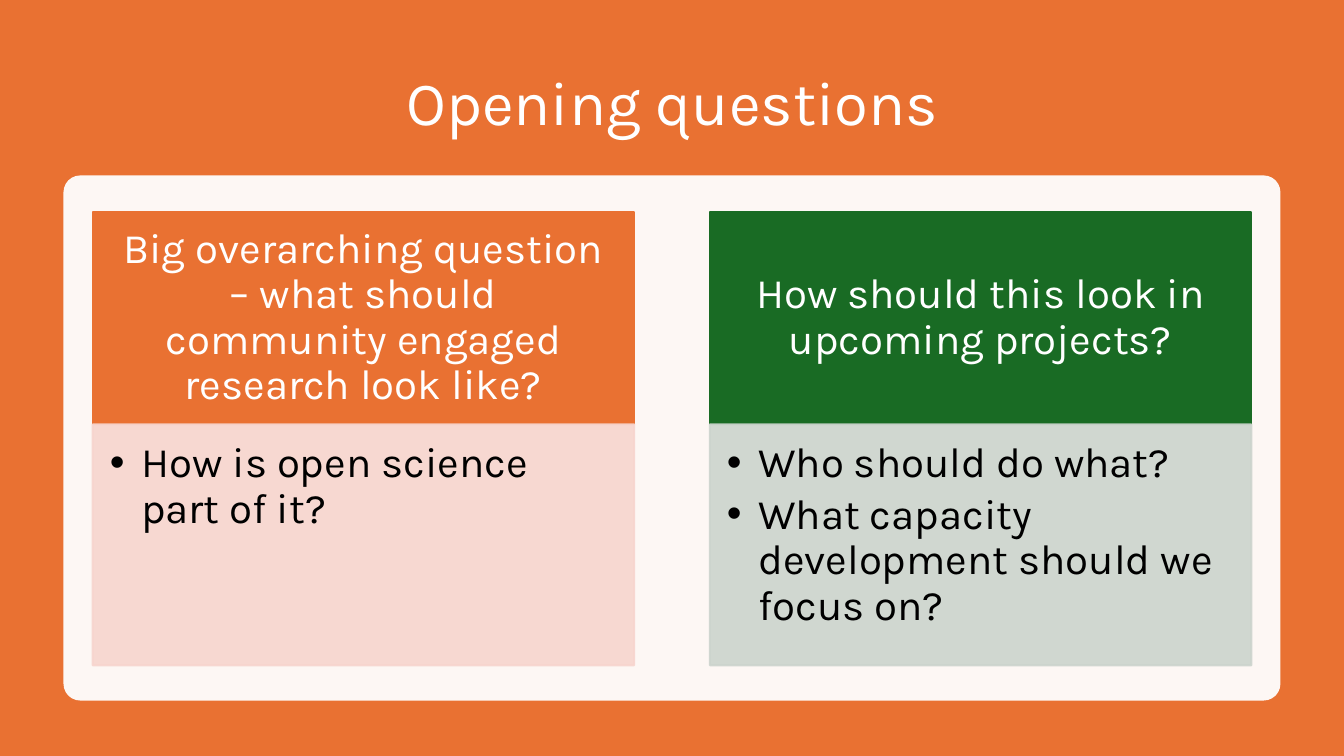
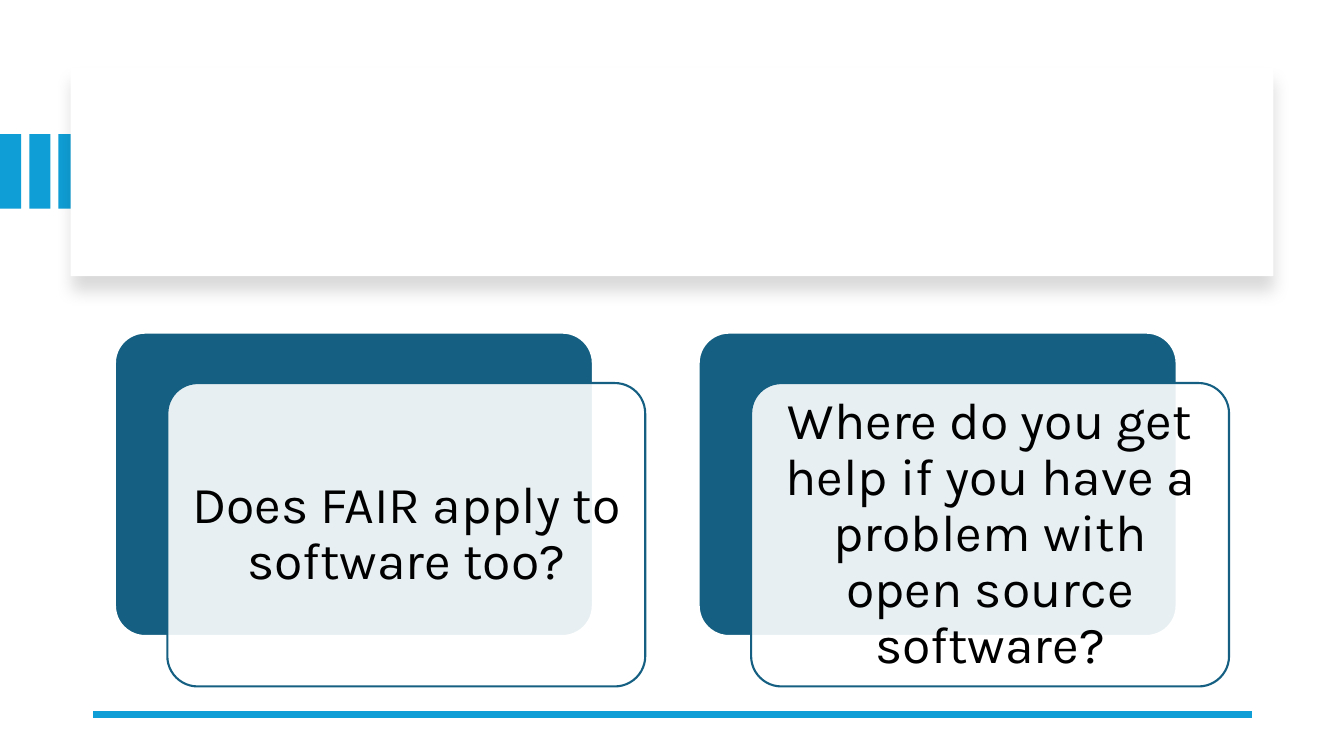
from dataclasses import dataclass

from lxml import etree
from pptx import Presentation
from pptx.dml.color import RGBColor
from pptx.enum.shapes import MSO_CONNECTOR, MSO_SHAPE
from pptx.enum.text import MSO_ANCHOR, MSO_AUTO_SIZE, PP_ALIGN
from pptx.oxml.ns import qn
from pptx.util import Inches, Pt

RECT, ROUND = MSO_SHAPE.RECTANGLE, MSO_SHAPE.ROUNDED_RECTANGLE
STRAIGHT = MSO_CONNECTOR.STRAIGHT
TOP, MIDDLE = MSO_ANCHOR.TOP, MSO_ANCHOR.MIDDLE
LEFT, CENTER = PP_ALIGN.LEFT, PP_ALIGN.CENTER
NO_FIT = MSO_AUTO_SIZE.NONE
COMPARISON, BLANK = 4, 6


@dataclass(frozen=True)
class Theme:
    font: str = "Karla"
    white: str = "FFFFFF"
    black: str = "000000"
    orange: str = "E97132"
    orange_tint: str = "F7D5CE"
    green: str = "196B24"
    green_tint: str = "CCD4CD"
    navy: str = "156082"
    blue: str = "0F9ED5"
    title: int = 44
    column: int = 30
    card: int = 37
    outline: float = 1.5


@dataclass(frozen=True)
class Box:
    x: float
    y: float
    w: float
    h: float

    def emu(self):
        return [Inches(v) for v in (self.x, self.y, self.w, self.h)]


@dataclass(frozen=True)
class Column:
    heading: str
    items: tuple[str, ...]
    color: str
    tint: str


T = Theme()

COLUMNS = (
    Column("Big overarching question – what should community engaged research look like?",
           ("How is open science part of it?",), T.orange, T.orange_tint),
    Column("How should this look in upcoming projects?",
           ("Who should do what?", "What capacity development should we focus on?"),
           T.green, T.green_tint),
)
CARDS = (
    "Does FAIR apply to software too?",
    "Where do you get help if you have a problem with open source software?",
)


def set_alpha(fill_parent, alpha: int) -> None:
    for clr in fill_parent.findall(f"{qn('a:solidFill')}/{qn('a:srgbClr')}"):
        etree.SubElement(clr, qn("a:alpha"), val=str(alpha * 1000))


def paint(sp, fill: str, line: str | None = None, alpha: int = 100, line_alpha: int = 100) -> None:
    sp.shadow.inherit = False
    sp.fill.solid()
    sp.fill.fore_color.rgb = RGBColor.from_string(fill)
    if line:
        sp.line.color.rgb = RGBColor.from_string(line)
        sp.line.width = Pt(T.outline)
    else:
        sp.line.fill.background()
    if alpha < 100:
        set_alpha(sp._element.spPr, alpha)
    if line_alpha < 100:
        set_alpha(sp.line._ln, line_alpha)


def add_box(s, kind, box: Box, fill: str, line: str | None = None,
            alpha: int = 100, radius: float = 0):
    sp = s.shapes.add_shape(kind, *box.emu())
    if radius:
        sp.adjustments[0] = radius
    paint(sp, fill, line, alpha)
    return sp


def place(sp, box: Box) -> None:
    sp.left, sp.top, sp.width, sp.height = box.emu()


def write(sp, texts: tuple[str, ...], size: int, color: str, align=CENTER, anchor=MIDDLE,
          insets: tuple[float, ...] = (0.1, 0.05, 0.1, 0.05), after: float = 0):
    tf = sp.text_frame
    tf.word_wrap = True
    tf.auto_size = NO_FIT
    tf.vertical_anchor = anchor
    tf.margin_left, tf.margin_top, tf.margin_right, tf.margin_bottom = map(Inches, insets)
    tf.text = "\n".join(texts)
    for p in tf.paragraphs:
        p.alignment = align
        p.line_spacing = 0.9
        p.space_before = Pt(0)
        p.space_after = Pt(after)
        p.font.name = T.font
        p.font.size = Pt(size)
        p.font.bold = False
        p.font.color.rgb = RGBColor.from_string(color)
    return tf


def add_bullets(tf, indent: float) -> None:
    for p in tf.paragraphs:
        pPr = p._p.get_or_add_pPr()
        pPr.set("marL", str(Inches(indent)))
        pPr.set("indent", str(-Inches(indent)))
        bullet = etree.Element(qn("a:buChar"), char="•")
        pPr.find(qn("a:defRPr")).addprevious(bullet)


def add_soft_shadow(sp, alpha: int, blur: float, dist: float, angle: int) -> None:
    effects = sp._element.spPr.find(qn("a:effectLst"))
    shadow = etree.SubElement(effects, qn("a:outerShdw"), blurRad=str(Pt(blur)),
                              dist=str(Pt(dist)), dir=str(angle * 60000), rotWithShape="0")
    clr = etree.SubElement(shadow, qn("a:srgbClr"), val=T.black)
    etree.SubElement(clr, qn("a:alpha"), val=str(alpha * 1000))


def build_questions(prs) -> None:
    s = prs.slides.add_slide(prs.slide_layouts[COMPARISON])
    s.background.fill.solid()
    s.background.fill.fore_color.rgb = RGBColor.from_string(T.orange)

    place(s.shapes.title, Box(0.92, 0.5, 11.5, 1.1))
    write(s.shapes.title, ("Opening questions",), T.title, T.white)

    panel = add_box(s, ROUND, Box(0.63, 1.74, 12.07, 5.21), T.white, alpha=95, radius=0.032)
    s.shapes._spTree.insert(2, panel._element)

    bodies = list(s.placeholders)[1:]
    for i, col in enumerate(COLUMNS):
        heading, body = bodies[2 * i:2 * i + 2]
        x = 0.92 + i * 6.12
        place(heading, Box(x, 2.1, 5.37, 2.11))
        paint(heading, col.color, col.color)
        write(heading, (col.heading,), T.column, T.white, insets=(0.23, 0.13, 0.23, 0.13))
        place(body, Box(x, 4.21, 5.37, 2.39))
        paint(body, col.tint, col.tint, alpha=90, line_alpha=90)
        tf = write(body, col.items, T.column, T.black, LEFT, TOP,
                   insets=(0.17, 0.17, 0.23, 0.26), after=4.5)
        add_bullets(tf, 0.31)


def build_cards(prs) -> None:
    s = prs.slides.add_slide(prs.slide_layouts[BLANK])
    for i in range(3):
        add_box(s, RECT, Box(i * 0.29, 1.33, 0.21, 0.74), T.blue)
    banner = add_box(s, RECT, Box(0.7, 0.67, 11.93, 2.07), T.white)
    add_soft_shadow(banner, alpha=15, blur=11, dist=10, angle=90)

    rule = s.shapes.add_connector(STRAIGHT, Inches(12.42), Inches(7.09), Inches(0.92), Inches(7.09))
    rule.line.color.rgb = RGBColor.from_string(T.blue)
    rule.line.width = Pt(4.5)
    etree.SubElement(rule._element.spPr, qn("a:effectLst"))

    for i, text in enumerate(CARDS):
        x = 1.14 + i * 5.79
        add_box(s, ROUND, Box(x, 3.3, 4.74, 3.01), T.navy, T.white, radius=0.1)
        front = add_box(s, ROUND, Box(x + 0.52, 3.8, 4.74, 3.01), T.white, T.navy, 90, 0.1)
        write(front, (text,), T.card, T.black, insets=(0.15,) * 4)


def main() -> None:
    prs = Presentation()
    prs.slide_width, prs.slide_height = Inches(13.33), Inches(7.5)
    build_questions(prs)
    build_cards(prs)
    prs.save("out.pptx")


if __name__ == "__main__":
    main()
